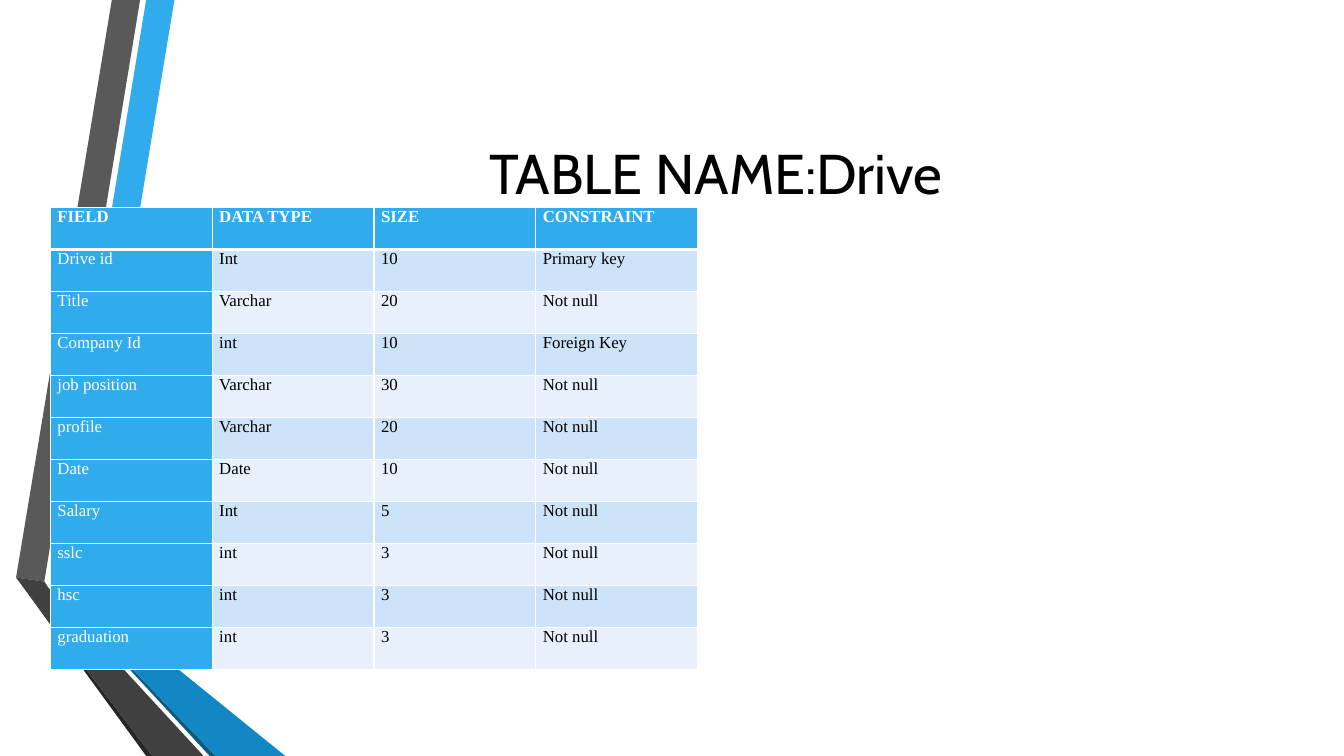
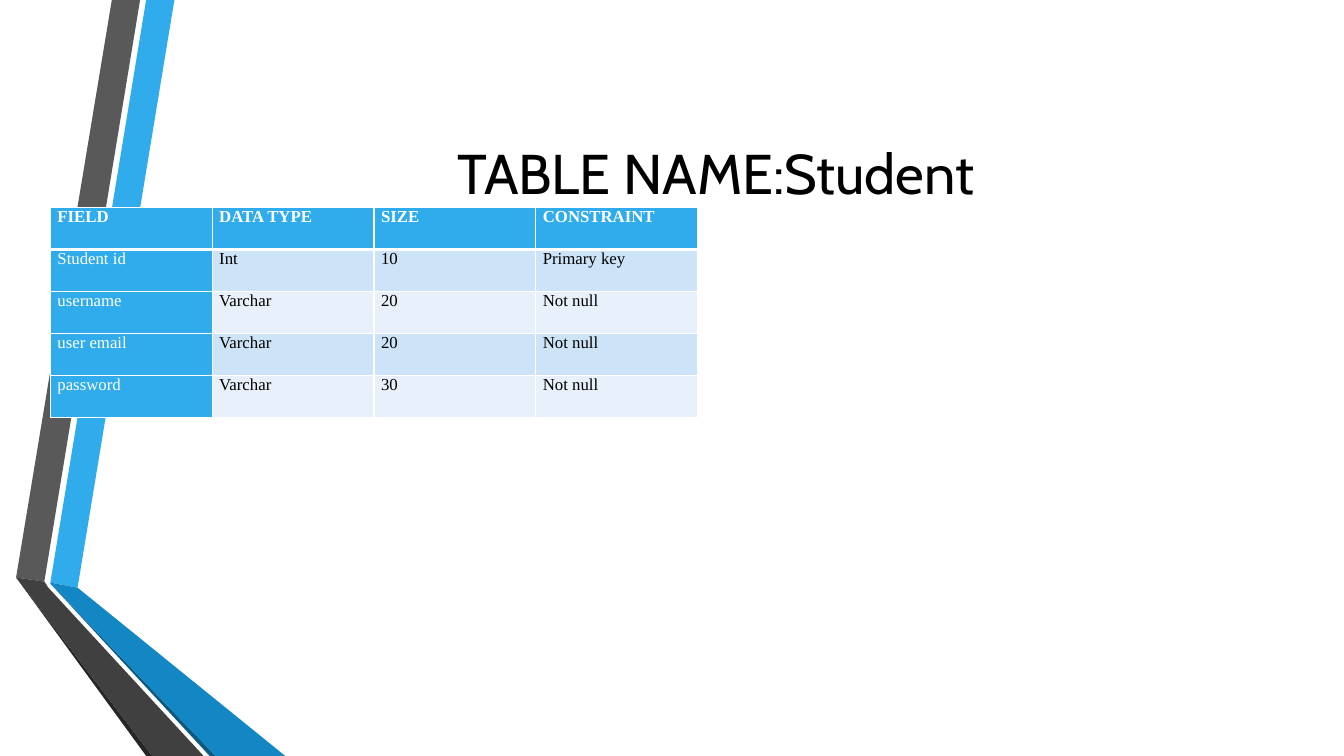
from lxml.etree import SubElement
from pptx import Presentation
from pptx.dml.color import RGBColor
from pptx.enum.text import MSO_ANCHOR as Anchor, MSO_AUTO_SIZE as AutoSize, PP_ALIGN as Align
from pptx.oxml.ns import qn
from pptx.util import Inches, Pt

BLACK = RGBColor(0x00, 0x00, 0x00)
WHITE = RGBColor(0xFF, 0xFF, 0xFF)
BLUE = RGBColor(0x30, 0xAC, 0xEC)
MID_BLUE = RGBColor(0x12, 0x87, 0xC3)
DEEP_BLUE = RGBColor(0x0C, 0x5A, 0x82)
GREY = RGBColor(0x59, 0x59, 0x59)
DARK_GREY = RGBColor(0x40, 0x40, 0x40)
DEEP_GREY = RGBColor(0x26, 0x26, 0x26)
BANDS = (RGBColor(0xE8, 0xF1, 0xFB), RGBColor(0xCD, 0xE3, 0xF8))

TITLE_FONT = "Cabin"
TABLE_FONT = "Times New Roman"
COLUMN_WIDTH = Inches(6.42 / 4)
ROW_HEIGHT = Inches(5 / 12)
CELL_INSET = Inches(0.07)
THIN, THICK = Pt(1), Pt(3)

RIBBONS = [
    (BLUE, [(0.5, 5.78), (0.77, 5.83), (1.73, 0), (1.45, 0)]),
    (GREY, [(1.39, 0), (1.11, 0), (0.16, 5.73), (0.44, 5.77)]),
    (DEEP_GREY, [(0.16, 5.73), (1.45, 7.5), (1.51, 7.5)]),
    (DEEP_BLUE, [(0.5, 5.79), (2.08, 7.5), (2.14, 7.5)]),
    (MID_BLUE, [(0.5, 5.78), (0.5, 5.79), (2.14, 7.5), (2.83, 7.5), (0.77, 5.83)]),
    (DARK_GREY, [(2.02, 7.5), (0.48, 5.83), (0.44, 5.77), (0.16, 5.73), (1.51, 7.5)]),
]

HEADER = ("FIELD", "DATA TYPE", "SIZE", "CONSTRAINT")
TABLES = {
    "Drive": [
        ("Drive id", "Int", "10", "Primary key"),
        ("Title", "Varchar", "20", "Not null"),
        ("Company Id", "int", "10", "Foreign Key"),
        ("job position", "Varchar", "30", "Not null"),
        ("profile", "Varchar", "20", "Not null"),
        ("Date", "Date", "10", "Not null"),
        ("Salary", "Int", "5", "Not null"),
        ("sslc", "int", "3", "Not null"),
        ("hsc", "int", "3", "Not null"),
        ("graduation", "int", "3", "Not null"),
    ],
    "Student": [
        ("Student id", "Int", "10", "Primary key"),
        ("username", "Varchar", "20", "Not null"),
        ("user email", "Varchar", "20", "Not null"),
        ("password", "Varchar", "30", "Not null"),
    ],
}


def write_text(frame, text, font=TABLE_FONT, size=12, color=BLACK, bold=False, align=Align.LEFT):
    para = frame.paragraphs[0]
    para.alignment = align
    span = para.add_run()
    span.text = text
    span.font.name = font
    span.font.size = Pt(size)
    span.font.bold = bold
    span.font.color.rgb = color


def set_borders(cell, **widths):
    properties = cell._tc.get_or_add_tcPr()
    for side in "LRTB":
        line = SubElement(properties, qn(f"a:ln{side}"), w=str(widths.get(side, THIN)))
        fill = SubElement(line, qn("a:solidFill"))
        SubElement(fill, qn("a:srgbClr"), val=str(WHITE))


class SchemaDeck:
    def __init__(self):
        self.deck = Presentation()
        self.deck.slide_width = Inches(13.33)
        self.deck.slide_height = Inches(7.5)
        self.layout = self.deck.slide_layouts[5]
        for placeholder in list(self.layout.placeholders)[1:]:
            self.layout.shapes.element.remove(placeholder.element)
        self.page = None

    def add_page(self):
        self.page = self.deck.slides.add_slide(self.layout)

    def add_ribbon(self, color, points):
        start, *rest = [(Inches(x), Inches(y)) for x, y in points]
        builder = self.page.shapes.build_freeform(*start)
        builder.add_line_segments(rest)
        ribbon = builder.convert_to_shape()
        ribbon.shadow.inherit = False
        ribbon.fill.solid()
        ribbon.fill.fore_color.rgb = color
        ribbon.line.fill.background()
        return ribbon

    def add_layout_ribbons(self):
        ribbons = [self.add_ribbon(color, points) for color, points in RIBBONS]
        for ribbon in ribbons:
            self.layout.shapes.element.append(ribbon.element)

    def add_title(self, text):
        title = self.page.shapes.title
        title.left, title.top = Inches(1.62), Inches(0.75)
        title.width, title.height = Inches(10.96), Inches(1.92)
        frame = title.text_frame
        frame.word_wrap = True
        frame.auto_size = AutoSize.NONE
        frame.vertical_anchor = Anchor.MIDDLE
        write_text(frame, text, font=TITLE_FONT, size=40, align=Align.CENTER)

    def add_table(self, rows):
        rows = [HEADER, *rows]
        width, height = COLUMN_WIDTH * len(HEADER), ROW_HEIGHT * len(rows)
        table = self.page.shapes.add_table(
            len(rows), len(HEADER), Inches(0.5), Inches(2.06), width, height
        ).table
        table.first_col = True
        for column in table.columns:
            column.width = COLUMN_WIDTH
        for row_index, row in enumerate(rows):
            table.rows[row_index].height = ROW_HEIGHT
            for column_index, text in enumerate(row):
                self.format_cell(table.cell(row_index, column_index), text, row_index, column_index)

    def format_cell(self, cell, text, row, column):
        is_header = row == 0
        is_key = is_header or column == 0
        set_borders(cell, T=THICK if row == 1 else THIN, B=THICK if is_header else THIN)
        cell.fill.solid()
        cell.fill.fore_color.rgb = BLUE if is_key else BANDS[row % 2]
        cell.margin_left = cell.margin_right = CELL_INSET
        cell.margin_top = cell.margin_bottom = 0
        cell.vertical_anchor = Anchor.TOP
        write_text(cell.text_frame, text, color=WHITE if is_key else BLACK, bold=is_header)

    def save(self):
        self.deck.save("out.pptx")


def main():
    schema = SchemaDeck()
    for name, rows in TABLES.items():
        schema.add_page()
        if len(schema.deck.slides) == 1:
            schema.add_layout_ribbons()
        schema.add_title(f"TABLE NAME:{name}")
        schema.add_table(rows)
    schema.save()


if __name__ == "__main__":
    main()
